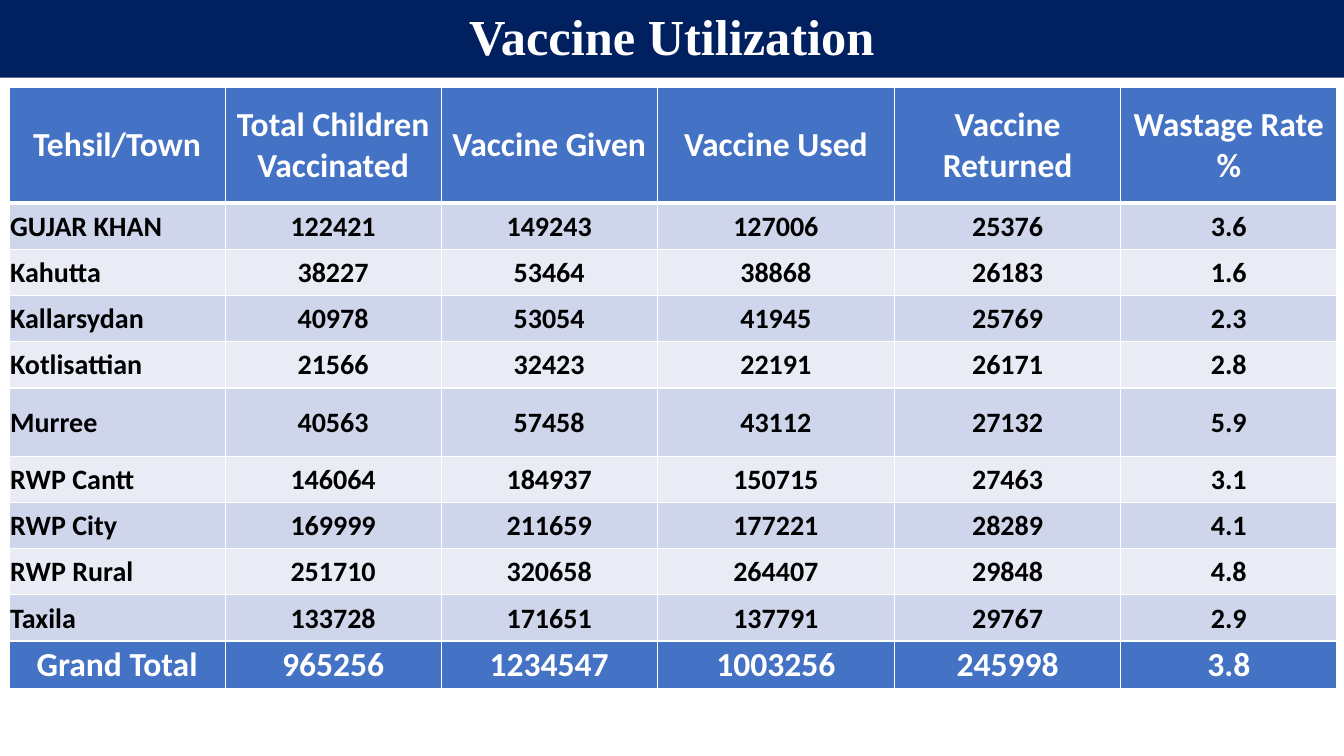
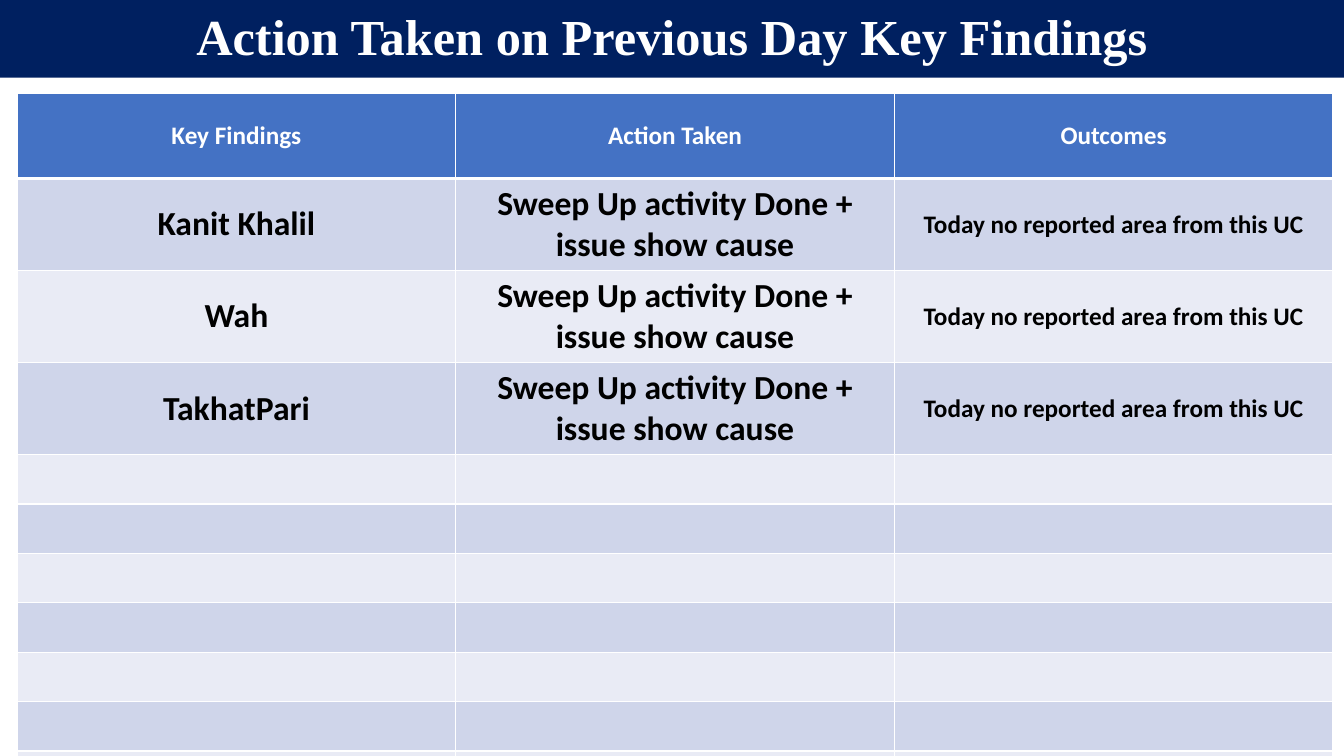
from collections import namedtuple

from lxml.etree import SubElement
from pptx import Presentation
from pptx.dml.color import RGBColor
from pptx.enum.text import MSO_ANCHOR, MSO_AUTO_SIZE, PP_ALIGN
from pptx.oxml.ns import qn
from pptx.util import Inches, Pt

NAVY = RGBColor(0x00, 0x20, 0x60)
BLUE = RGBColor(0x44, 0x72, 0xC4)
BANDS = (RGBColor(0xCF, 0xD5, 0xEA), RGBColor(0xE9, 0xEB, 0xF5))
WHITE = RGBColor(0xFF, 0xFF, 0xFF)
BLACK = RGBColor(0x00, 0x00, 0x00)
TITLE_FONT = "Times New Roman"
TABLE_FONT = "Calibri"
TITLE_ONLY = 5

# Lengths in inches
Box = namedtuple("Box", "left top width height")
SLIDE = Box(0, 0, 13.33, 7.5)
TITLE_BAND = Box(0, 0, SLIDE.width, 0.77)

UTILIZATION_HEADER = ("Tehsil/Town", "Total Children Vaccinated", "Vaccine Given",
                      "Vaccine Used", "Vaccine Returned", "Wastage Rate\n%")
UTILIZATION = (
    ("GUJAR KHAN", 122421, 149243, 127006, 25376, 3.6),
    ("Kahutta", 38227, 53464, 38868, 26183, 1.6),
    ("Kallarsydan", 40978, 53054, 41945, 25769, 2.3),
    ("Kotlisattian", 21566, 32423, 22191, 26171, 2.8),
    ("Murree", 40563, 57458, 43112, 27132, 5.9),
    ("RWP Cantt", 146064, 184937, 150715, 27463, 3.1),
    ("RWP City", 169999, 211659, 177221, 28289, 4.1),
    ("RWP Rural", 251710, 320658, 264407, 29848, 4.8),
    ("Taxila", 133728, 171651, 137791, 29767, 2.9),
)
GRAND_TOTAL = ("Grand Total", 965256, 1234547, 1003256, 245998, 3.8)

FINDINGS_HEADER = ("Key Findings", "Action Taken", "Outcomes")
FINDING_PLACES = ("Kanit Khalil", "Wah", "TakhatPari")
ACTION = "Sweep Up activity Done + issue show cause"
OUTCOME = "Today no reported area from this UC"
EMPTY_FINDINGS = 8


def place(shape, box):
    shape.left, shape.top, shape.width, shape.height = map(Inches, box)


def format_paragraph(paragraph, font_name, size, color, alignment=PP_ALIGN.CENTER):
    paragraph.alignment = alignment
    font = paragraph.font
    font.name, font.size, font.bold = font_name, Pt(size), True
    font.color.rgb = color


def add_titled_slide(presentation, title):
    """Add a slide with its title in a full-width band."""
    slide = presentation.slides.add_slide(presentation.slide_layouts[TITLE_ONLY])
    shape = slide.shapes.title
    place(shape, TITLE_BAND)
    shape.fill.solid()
    shape.fill.fore_color.rgb = NAVY
    frame = shape.text_frame
    frame.text = title
    frame.auto_size = MSO_AUTO_SIZE.NONE
    frame.vertical_anchor = MSO_ANCHOR.MIDDLE
    format_paragraph(frame.paragraphs[0], TITLE_FONT, 36, WHITE)
    frame.paragraphs[0].line_spacing = 0.9
    return slide


def add_grid(slide, box, column_shares, row_shares):
    """Add a table whose columns and rows divide the box by their shares."""
    frame = slide.shapes.add_table(len(row_shares), len(column_shares),
                                   *map(Inches, box))
    table = frame.table
    for column, share in zip(table.columns, column_shares):
        column.width = Inches(box.width * share / sum(column_shares))
    for row, share in zip(table.rows, row_shares):
        row.height = Inches(box.height * share / sum(row_shares))
    return table


def set_borders(cell, bottom):
    properties = cell._tc.get_or_add_tcPr()
    for side, width in (("L", 1), ("R", 1), ("T", 1), ("B", bottom)):
        line = SubElement(properties, qn(f"a:ln{side}"), w=str(Pt(width)))
        fill = SubElement(line, qn("a:solidFill"))
        SubElement(fill, qn("a:srgbClr"), val=str(WHITE))


def fill_row(table, index, values, fill, color, sizes, first_alignment=PP_ALIGN.CENTER,
             tight=False, bottom=1):
    """Write and format one row; tight rows have almost no cell margins."""
    for column, (value, size) in enumerate(zip(values, sizes)):
        cell = table.cell(index, column)
        set_borders(cell, bottom)
        cell.fill.solid()
        cell.fill.fore_color.rgb = fill
        cell.vertical_anchor = MSO_ANCHOR.MIDDLE
        if tight:
            cell.margin_left = cell.margin_right = cell.margin_top = Inches(0.01)
            cell.margin_bottom = 0
        cell.text = str(value)
        alignment = PP_ALIGN.CENTER if column else first_alignment
        for paragraph in cell.text_frame.paragraphs:
            format_paragraph(paragraph, TABLE_FONT, size, color, alignment)


def add_utilization_table(slide, box):
    row_shares = [1.15] + [0.68 if row[0] == "Murree" else 0.46
                           for row in UTILIZATION] + [0.47]
    table = add_grid(slide, box, (2.14, 2.14, 2.14, 2.35, 2.24, 2.14), row_shares)
    fill_row(table, 0, UTILIZATION_HEADER, BLUE, WHITE, [24] * 6, bottom=3)
    for index, values in enumerate(UTILIZATION, 1):
        fill_row(table, index, values, BANDS[(index - 1) % 2], BLACK, [20] * 6,
                 PP_ALIGN.LEFT, tight=True)
    fill_row(table, len(UTILIZATION) + 1, GRAND_TOTAL, BLUE, WHITE, [24] * 6, tight=True)


def add_findings_table(slide, box):
    findings = [(name, ACTION, OUTCOME) for name in FINDING_PLACES]
    row_shares = [0.84] + [0.91] * len(findings) + [0.49] * EMPTY_FINDINGS
    table = add_grid(slide, box, (1, 1, 1), row_shares)
    fill_row(table, 0, FINDINGS_HEADER, BLUE, WHITE, [18] * 3, bottom=3)
    rows = findings + [("", "", "")] * EMPTY_FINDINGS
    for index, values in enumerate(rows, 1):
        sizes = (24, 24, 18) if values[0] else (18, 18, 18)
        fill_row(table, index, values, BANDS[(index - 1) % 2], BLACK, sizes)


def main():
    presentation = Presentation()
    presentation.slide_width = Inches(SLIDE.width)
    presentation.slide_height = Inches(SLIDE.height)

    # Vaccine figures by town
    slide = add_titled_slide(presentation, "Vaccine Utilization")
    add_utilization_table(slide, Box(0.09, 0.87, 13.17, 5.96))

    # Follow-up of findings
    slide = add_titled_slide(presentation, "Action Taken on Previous Day Key Findings")
    add_findings_table(slide, Box(0.17, 0.93, 13.05, 7.49))

    presentation.save("out.pptx")


if __name__ == "__main__":
    main()
